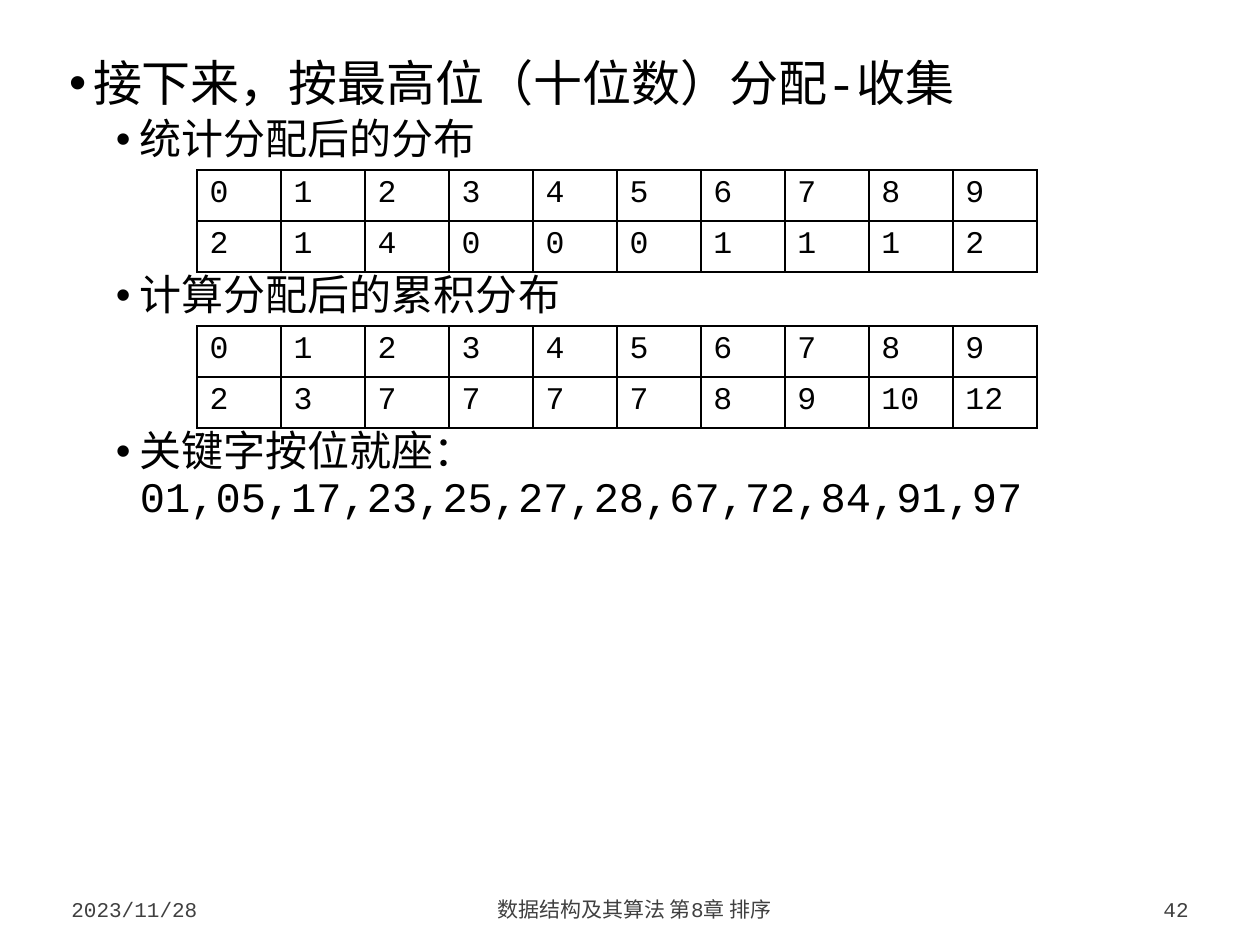
from lxml import etree
from pptx import Presentation
from pptx import util as u
from pptx.dml.color import RGBColor
from pptx.enum import text
from pptx.oxml.ns import qn

COLORS = {"ink": "000000", "footer": "404040"}
FONT = "Courier New"
DPI = 126


def px(length):
    return u.Emu(round(length * 914400 / DPI))


def write(paragraph, words, size, color="ink", align=text.PP_ALIGN.LEFT):
    run = paragraph.add_run()
    run.text = words
    run.font.size = u.Pt(size)
    run.font.name = FONT
    run.font.color.rgb = RGBColor.from_string(COLORS[color])
    paragraph.alignment = align


class Deck:
    def __init__(self, width, height):
        self.show = Presentation()
        self.show.slide_width, self.show.slide_height = px(width), px(height)
        self.slide = self.show.slides.add_slide(self.show.slide_layouts[6])

    def frame(self, left, top, width, height):
        frame = self.slide.shapes.add_textbox(*map(px, (left, top, width, height))).text_frame
        frame.word_wrap = True
        return frame

    def outline(self, items, *place, inset=10):
        body = self.frame(*place)
        body.margin_left = body.margin_right = px(inset)
        body.margin_top = body.margin_bottom = px(inset)
        for index, (words, size, indent, before) in enumerate(items):
            item = body.paragraphs[0] if index == 0 else body.add_paragraph()
            item.line_spacing = 0.9
            if before:
                item.space_before = u.Pt(before)
            props = item._p.get_or_add_pPr()
            props.set("marL", str(px(indent)))
            props.set("indent", str(px(-24)))
            etree.SubElement(props, qn("a:buFont")).set("typeface", "Arial")
            etree.SubElement(props, qn("a:buChar")).set("char", "•")
            write(item, words, size)

    def footer(self, words, align, left, width):
        frame = self.frame(left, 879, width, 49)
        frame.vertical_anchor = text.MSO_ANCHOR.BOTTOM
        write(frame.paragraphs[0], words, 12, "footer", align)

    def table(self, rows, left, top, column=84, row_height=51):
        count = len(rows[0])
        grid = self.slide.shapes.add_table(
            len(rows), count, px(left), px(top), px(column * count), px(row_height * len(rows))
        ).table
        grid.first_row = grid.horz_banding = False
        for row, values in enumerate(rows):
            for col, value in enumerate(values):
                cell = grid.cell(row, col)
                self.border(cell)
                cell.fill.background()
                write(cell.text_frame.paragraphs[0], str(value), 18)

    def border(self, cell):
        props = cell._tc.get_or_add_tcPr()
        for side in ("lnL", "lnR", "lnT", "lnB"):
            line = etree.SubElement(props, qn(f"a:{side}"), w=str(u.Pt(1)))
            fill = etree.SubElement(line, qn("a:solidFill"))
            etree.SubElement(fill, qn("a:srgbClr"), val=COLORS["ink"])


def main():
    deck = Deck(1260, 945)
    after_table = 63.2
    deck.outline(
        [
            ("接下来，按最高位（十位数）分配-收集", 28, 24, 0),
            ("统计分配后的分布", 24, 71, 3.8),
            ("计算分配后的累积分布", 24, 71, after_table),
            ("关键字按位就座：01,05,17,23,25,27,28,67,72,84,91,97", 24, 71, after_table),
        ],
        59, 49, 1142, 809,
    )
    deck.footer("2023/11/28", text.PP_ALIGN.LEFT, 59, 158)
    deck.footer("数据结构及其算法 第8章 排序", text.PP_ALIGN.CENTER, 232, 805)
    deck.footer("42", text.PP_ALIGN.RIGHT, 1052, 149)

    digits = range(10)
    counts = [2, 1, 4, 0, 0, 0, 1, 1, 1, 2]
    totals = [sum(counts[: digit + 1]) for digit in digits]
    deck.table([digits, counts], 197, 170)
    deck.table([digits, totals], 197, 326)
    deck.show.save("out.pptx")


if __name__ == "__main__":
    main()
